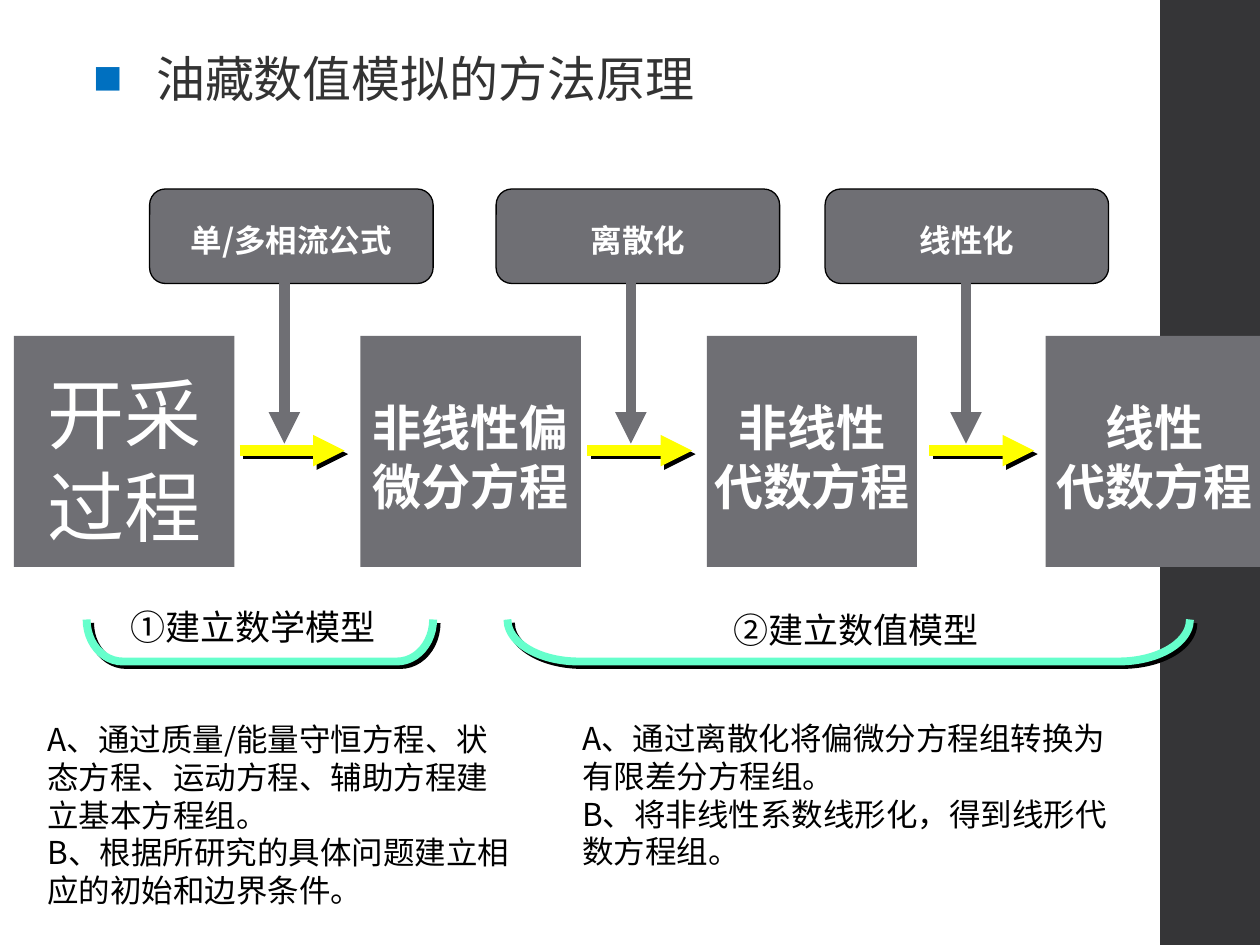
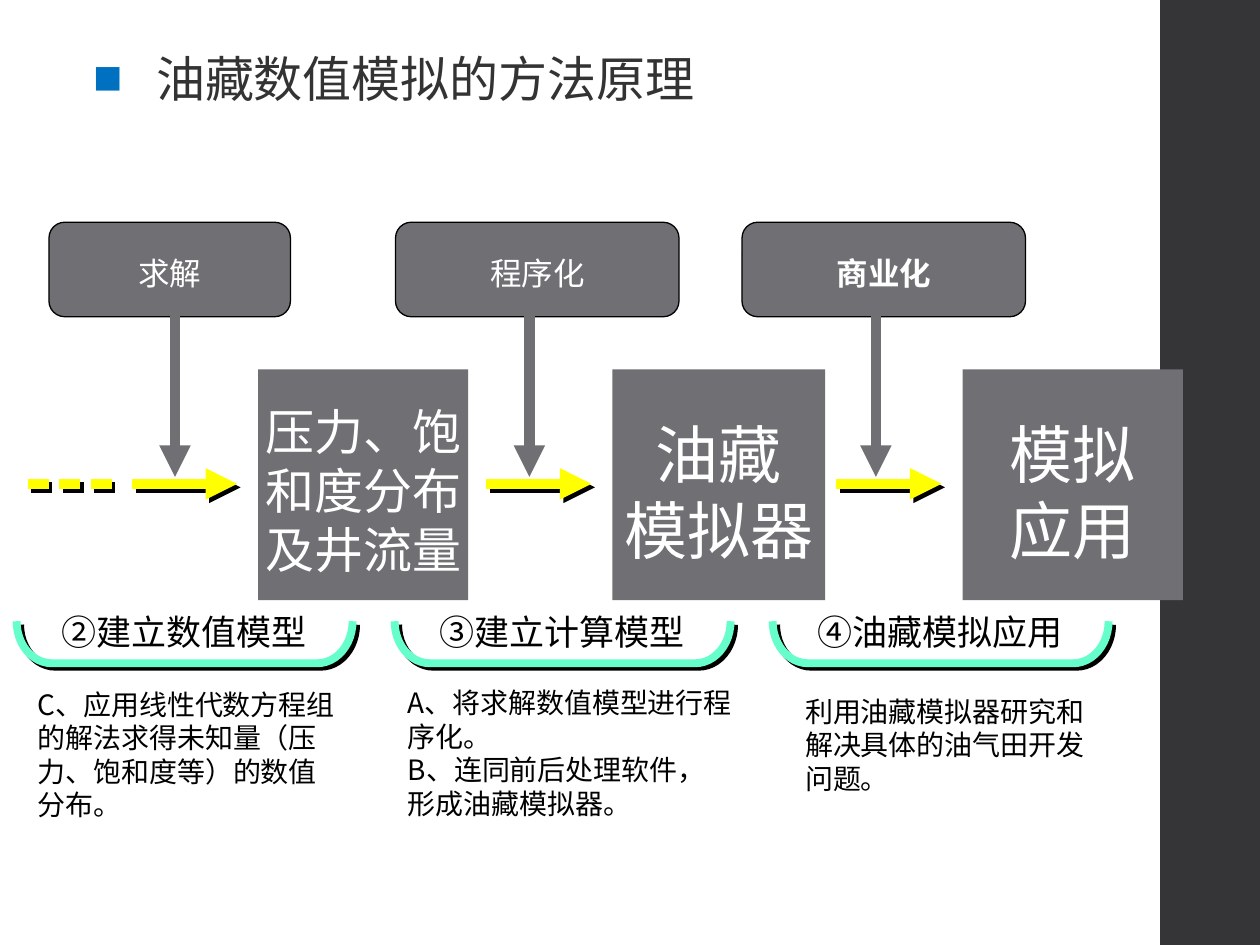
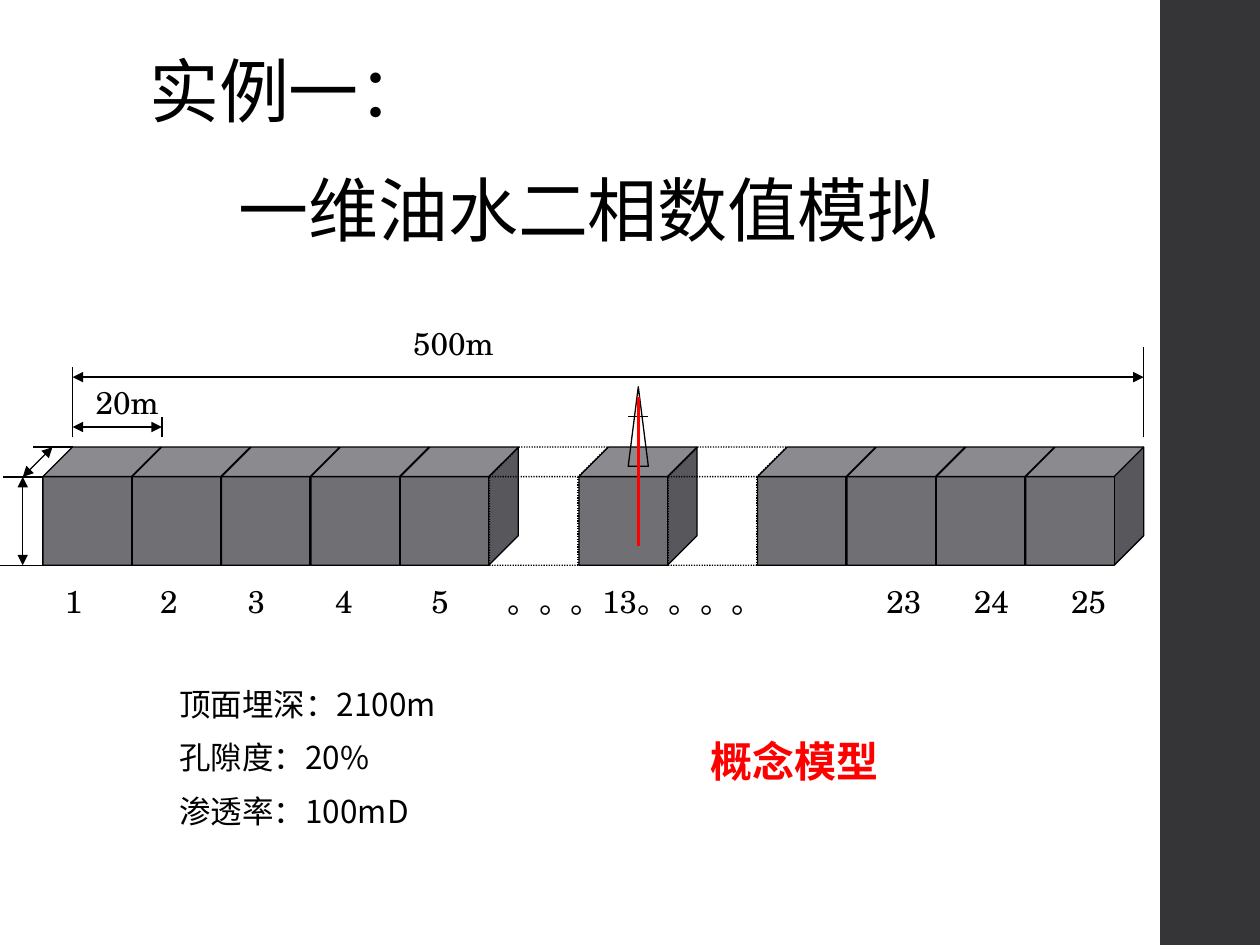
from dataclasses import dataclass

from lxml import etree
from pptx import Presentation, dml, oxml, util as u
from pptx.dml import color as dml_color
from pptx.enum import dml as line_styles, shapes, text
from pptx.oxml import ns

Pt = u.Pt
RGB = dml_color.RGBColor.from_string


@dataclass(frozen=True)
class Theme:
    sans: str = "Noto Sans CJK SC"
    serif: str = "TeX Gyre Schola"
    black: str = "000000"
    white: str = "FFFFFF"
    gray: str = "6F6F74"
    band: str = "353537"
    title: str = "333333"
    bullet: str = "0070C0"
    yellow: str = "FFFF00"
    mint: str = "66FFCC"
    red: str = "FF0000"
    title_size: int = 28
    headline_size: int = 40
    label_size: int = 20
    body_size: int = 18
    callout_size: int = 24
    line_height: float = 1.2


theme = Theme()
NAMESPACE = ns.nsdecls("a")
SHADOW = (
    f'<a:outerShdw {NAMESPACE} blurRad="0" dist="35560" dir="2700000" algn="ctr" rotWithShape="0">'
    f'<a:srgbClr val="{theme.black}"/></a:outerShdw>'
)
BULLET = [
    f'<a:buClr {NAMESPACE}><a:srgbClr val="{theme.bullet}"/></a:buClr>',
    f'<a:buSzPct {NAMESPACE} val="60000"/>',
    f'<a:buFont {NAMESPACE} typeface="{theme.sans}"/>',
    f'<a:buChar {NAMESPACE} char="■"/>',
]


def write(shape, lines, size, color=theme.black, bold=False, font=theme.sans,
          align=text.PP_ALIGN.LEFT, middle=False, wrap=True, gap=0, extras=()):
    frame = shape.text_frame
    frame.text = "\n".join(lines)
    frame.word_wrap = wrap
    frame.auto_size = text.MSO_AUTO_SIZE.NONE
    frame.vertical_anchor = text.MSO_ANCHOR.MIDDLE if middle else text.MSO_ANCHOR.TOP
    drop = 0 if font == theme.serif else 0.2 if middle else 0.1
    frame.margin_top = Pt(3.6 + drop * size)
    for index, paragraph in enumerate(frame.paragraphs):
        properties = paragraph._p.get_or_add_pPr()
        for fragment in extras:
            properties.append(oxml.parse_xml(fragment))
        paragraph.alignment = align
        paragraph.line_spacing = Pt(size * theme.line_height)
        paragraph.space_before = Pt(gap if index else 0)
        paragraph.font.size = Pt(size)
        paragraph.font.bold = bold
        paragraph.font.name = font
        paragraph.font.color.rgb = RGB(color)
        defaults = properties.find(ns.qn("a:defRPr"))
        etree.SubElement(defaults, ns.qn("a:ea"), typeface=theme.sans)


def draw_line(slide, x1, y1, x2, y2, color=theme.black, width=0.75,
              head=False, tail=False, shadow=False):
    connector = slide.shapes.add_connector(
        shapes.MSO_CONNECTOR.STRAIGHT, Pt(x1), Pt(y1), Pt(x2), Pt(y2))
    connector.line.color.rgb = RGB(color)
    connector.line.width = Pt(width)
    properties = connector._element.spPr
    outline = properties.find(ns.qn("a:ln"))
    for end, wanted in (("a:headEnd", head), ("a:tailEnd", tail)):
        if wanted:
            etree.SubElement(outline, ns.qn(end), type="triangle")
    effects = etree.SubElement(properties, ns.qn("a:effectLst"))
    if shadow:
        effects.append(oxml.parse_xml(SHADOW))


presentation = Presentation()
presentation.slide_width = Pt(720)
presentation.slide_height = Pt(540)
layout = presentation.slide_layouts[5]

flows = [
    dict(
        top=108,
        cards=[(85.5, 162, ["单/多相流公式"], 18, True),
               (283.5, 162, ["离散化"], 18, True),
               (471.5, 162, ["线性化"], 18, True)],
        boxes=[(8, 126, ["开采", "过程"], 44, False),
               (206, 126, ["非线性偏", "微分方程"], 28, True),
               (404, 120, ["非线性", "代数方程"], 28, True),
               (597.5, 124.5, ["线性", "代数方程"], 28, True)],
        drops=[162.5, 360.5, 552],
        arrows=[137, 335.5, 531],
        dashes=[],
        bracket_middle=366,
        brackets=[(148.5, 198, 0.86), (485, 390, 1.7)],
        labels=[(67.5, 340.5, "①建立数学模型"), (412, 342, "②建立数值模型")],
        note_size=18,
        notes=[
            (20, 406, 278, 117, ["A、通过质量/能量守恒方程、状态方程、运动方程、辅助方程建立基本方程组。",
                                 "B、根据所研究的具体问题建立相应的初始和边界条件。"]),
            (325.5, 405.5, 314, 94, ["A、通过离散化将偏微分方程组转换为有限差分方程组。",
                                     "B、将非线性系数线形化，得到线形代数方程组。"]),
        ],
    ),
    dict(
        top=127,
        cards=[(28, 138, ["求解"], 18, False),
               (226, 162, ["程序化"], 18, False),
               (424, 162, ["商业化"], 18, True)],
        boxes=[(147.5, 120, ["压力、饱", "和度分布", "及井流量"], 28, False),
               (350, 121.5, ["油藏", "模拟器"], 36, False),
               (550, 126, ["模拟", "应用"], 36, False)],
        drops=[100, 302.5, 500.5],
        arrows=[75.5, 278, 478],
        dashes=[16, 34, 52],
        bracket_middle=367,
        brackets=[(105.5, 192, 0.84), (321.5, 192, 0.84), (537.5, 192, 0.84)],
        labels=[(28, 343, "②建立数值模型"), (244, 343, "③建立计算模型"), (460, 343, "④油藏模拟应用")],
        note_size=16,
        notes=[
            (14.5, 387.5, 187, 84, ["C、应用线性代数方程组的解法求得未知量（压力、饱和度等）的数值分布。"]),
            (226, 386.5, 199.5, 84, ["A、将求解数值模型进行程序化。", "B、连同前后处理软件，形成油藏模拟器。"]),
            (453, 391.5, 187, 65, ["利用油藏模拟器研究和解决具体的油气田开发问题。"]),
        ],
    ),
]

for flow in flows:
    slide = presentation.slides.add_slide(layout)
    title = slide.shapes.title
    title.left, title.top, title.width, title.height = Pt(46), Pt(21.5), Pt(436), Pt(41)
    write(title, ["油藏数值模拟的方法原理"], theme.title_size, theme.title, extras=BULLET)
    indent = title.text_frame.paragraphs[0]._p.pPr
    indent.set("marL", str(Pt(36)))
    indent.set("indent", str(-Pt(36)))

    top = flow["top"]
    rows = [(shapes.MSO_SHAPE.RECTANGLE, top + 84, 132, False, flow["boxes"]),
            (shapes.MSO_SHAPE.ROUNDED_RECTANGLE, top, 54, True, flow["cards"])]
    for preset, row_top, height, outlined, blocks in rows:
        for left, width, lines, size, bold in blocks:
            block = slide.shapes.add_shape(preset, Pt(left), Pt(row_top), Pt(width), Pt(height))
            block.shadow.inherit = False
            block.fill.solid()
            block.fill.fore_color.rgb = RGB(theme.gray)
            if outlined:
                block.line.color.rgb = RGB(theme.black)
                block.line.width = Pt(0.75)
            else:
                block.line.fill.background()
            write(block, lines, size, theme.white, bold,
                  align=text.PP_ALIGN.CENTER, middle=True, wrap=False)

    flow_y = top + 149.5
    for x in flow["arrows"]:
        draw_line(slide, x, flow_y, x + 60, flow_y, theme.yellow, 6, tail=True, shadow=True)
    for x in flow["dashes"]:
        draw_line(slide, x, flow_y, x + 12, flow_y, theme.yellow, 6, shadow=True)
    for x in flow["drops"]:
        draw_line(slide, x, top + 49.5, x, top + 145.5, theme.gray, 6, tail=True)

    for center, span, curve in flow["brackets"]:
        bracket = slide.shapes.add_shape(
            shapes.MSO_SHAPE.LEFT_BRACKET, Pt(center - 12),
            Pt(flow["bracket_middle"] - span / 2), Pt(24), Pt(span))
        bracket.rotation = 270
        bracket.adjustments[0] = curve
        bracket.fill.background()
        bracket.line.color.rgb = RGB(theme.mint)
        bracket.line.width = Pt(4.5)
        bracket.shadow.inherit = False
        bracket._element.spPr.find(ns.qn("a:effectLst")).append(oxml.parse_xml(SHADOW))

    for left, label_top, caption in flow["labels"]:
        label = slide.shapes.add_textbox(Pt(left), Pt(label_top), Pt(155), Pt(31))
        write(label, [caption[0]], theme.label_size, wrap=False)
        run = label.text_frame.paragraphs[0].add_run()
        run.text = caption[1:]
        run.font.name = theme.serif

    for left, note_top, width, height, lines in flow["notes"]:
        note = slide.shapes.add_textbox(Pt(left), Pt(note_top), Pt(width), Pt(height))
        write(note, lines, flow["note_size"])

slide = presentation.slides.add_slide(layout)
title = slide.shapes.title
title.left, title.top, title.width, title.height = Pt(78), Pt(19.5), Pt(516), Pt(127.5)
write(title, ["实例一：", "一维油水二相数值模拟"], theme.headline_size, gap=20)
title.text_frame.paragraphs[1].alignment = text.PP_ALIGN.CENTER

band = slide.shapes.add_shape(shapes.MSO_SHAPE.RECTANGLE, Pt(663), 0, Pt(57), Pt(540))
band.shadow.inherit = False
band.fill.solid()
band.fill.fore_color.rgb = RGB(theme.band)
band.line.fill.background()
layout.shapes.element.insert(2, band._element)

missing_cells = (5, 7)
for index in range(12):
    cell = slide.shapes.add_shape(
        shapes.MSO_SHAPE.CUBE, Pt(24.5 + 51.05 * index), Pt(255.5), Pt(67.5), Pt(67.5))
    cell.shadow.inherit = False
    cell.line.color.rgb = RGB(theme.black)
    cell.line.width = Pt(0.75)
    if index in missing_cells:
        cell.fill.background()
        cell.line.dash_style = line_styles.MSO_LINE.ROUND_DOT
    else:
        cell.fill.solid()
        cell.fill.fore_color.rgb = RGB(theme.gray)

cell_numbers = ["1", "2", "3", "4", "5", "。。。13。。。。", "23", "24", "25"]
stops = [(59.5, "ctr"), (109.5, "ctr"), (159.5, "ctr"), (214.5, "ctr"), (253, "l"),
         (479.5, "ctr"), (529.5, "ctr"), (585, "ctr")]
tabs = "".join(f'<a:tab pos="{Pt(position)}" algn="{align}"/>' for position, align in stops)
number_row = slide.shapes.add_textbox(Pt(30), Pt(329), Pt(623.5), Pt(29))
write(number_row, ["\t".join(cell_numbers)], theme.body_size, font=theme.serif,
      extras=[f"<a:tabLst {NAMESPACE}>{tabs}</a:tabLst>"])

for left, label_top, width, caption in [(229, 181.5, 67.5, "500m"), (47.5, 215.5, 57, "20m")]:
    dimension = slide.shapes.add_textbox(Pt(left), Pt(label_top), Pt(width), Pt(29))
    write(dimension, [caption], theme.body_size, font=theme.serif)

dimension_arrows = [(41.5, 215.5, 653.5, 215.5), (41.5, 244, 92.5, 244),
                    (13, 272.5, 13, 323), (30, 255.5, 13, 272.5)]
for points in dimension_arrows:
    draw_line(slide, *points, head=True, tail=True)

extension_lines = [(41.5, 250, 41.5, 210), (653.5, 250, 653.5, 198.5), (92.5, 250, 92.5, 238.5),
                   (24.5, 272.5, 2, 272.5), (24.5, 323, -3.5, 323), (41.5, 255.5, 19, 255.5)]
for points in extension_lines:
    draw_line(slide, *points)

properties_box = slide.shapes.add_textbox(Pt(95.5), Pt(386), Pt(199), Pt(93.5))
write(properties_box, ["顶面埋深：2100m", "孔隙度：20%", "渗透率：100mD"], theme.body_size, gap=9)

derrick = slide.shapes.add_shape(
    shapes.MSO_SHAPE.FLOWCHART_EXTRACT, Pt(359), Pt(221), Pt(11.5), Pt(45.5))
derrick.shadow.inherit = False
derrick.fill.background()
derrick.line.color.rgb = RGB(theme.black)
derrick.line.width = Pt(0.75)
draw_line(slide, 359, 238, 370.5, 238)
draw_line(slide, 365, 227, 365, 312, theme.red, 1.5)

callout = slide.shapes.add_textbox(Pt(399), Pt(414.5), Pt(117.5), Pt(36))
write(callout, ["概念模型"], theme.callout_size, theme.red, bold=True)

presentation.save("out.pptx")
